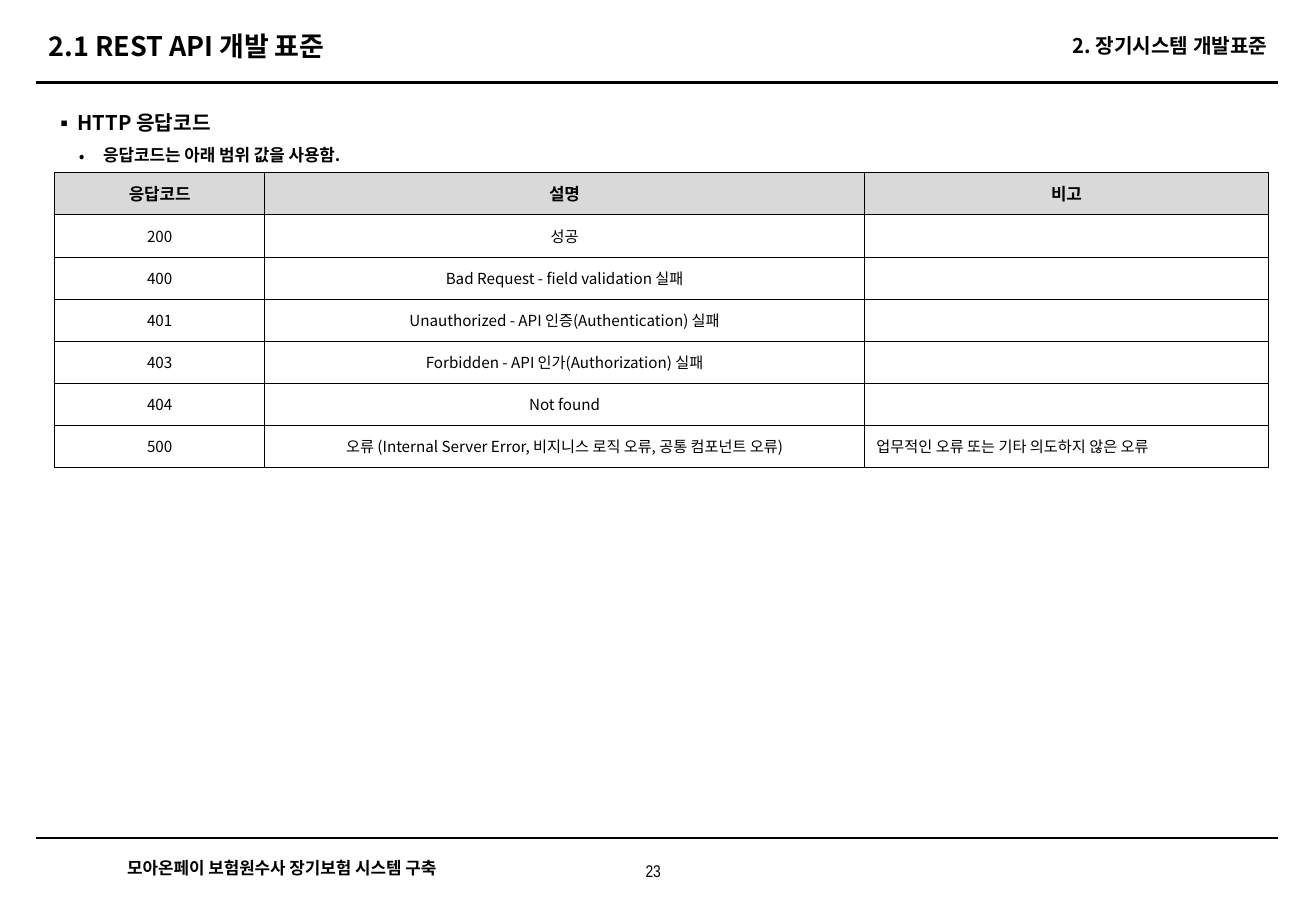
"""Build the HTTP response code page of the REST API development standard."""
from dataclasses import dataclass

from lxml import etree
from pptx import Presentation
from pptx import util as u
from pptx.dml.color import RGBColor
from pptx.enum import shapes, text
from pptx.oxml import ns

TITLE = "2.1 REST API 개발 표준"
CHAPTER = "2. 장기시스템 개발표준"
PROJECT = "모아온페이 보험원수사 장기보험 시스템 구축"
PAGE_NUMBER = "23"
OUTLINE = [
    {"text": "HTTP 응답코드", "bullet": "▪", "margin": 0.19, "hang": 0.19, "size": 12},
    {"text": "응답코드는 아래 범위 값을 사용함.", "bullet": "•", "margin": 0.4, "hang": 0.2, "size": 10},
]
CODES = [
    ("응답코드", "설명", "비고"),
    ("200", "성공", ""),
    ("400", "Bad Request - field validation 실패", ""),
    ("401", "Unauthorized - API 인증(Authentication) 실패", ""),
    ("403", "Forbidden - API 인가(Authorization) 실패", ""),
    ("404", "Not found", ""),
    ("500", "오류 (Internal Server Error, 비지니스 로직 오류, 공통 컴포넌트 오류)",
     "업무적인 오류 또는 기타 의도하지 않은 오류"),
]
COLUMN_SHARES = (17.3, 49.4, 33.3)

WIDTH, HEIGHT = u.Inches(10.84), u.Inches(7.5)
AREAS = {
    "title": (2.77, 2.4, 48.71, 5.2),
    "chapter": (61.62, 2.4, 35.61, 5.2),
    "outline": (3.23, 10.13, 23.99, 8.67),
    "codes": (4.15, 18.93, 92.25, 32.4),
    "project": (8.76, 93.47, 25.55, 3.6),
    "number": (46.4, 93.87, 6.46, 3.6),
}
RULE_SPAN = (2.77, 97.14)
RULES = [(9.07, 2), (92, 0.75)]


@dataclass(frozen=True)
class Theme:
    ink: RGBColor = RGBColor(0, 0, 0)
    paper: RGBColor = RGBColor(255, 255, 255)
    header: RGBColor = RGBColor(0xD9, 0xD9, 0xD9)
    font: str = "Noto Sans CJK KR"
    number_font: str = "Arial Narrow"
    title: float = 16
    chapter: float = 12
    label: float = 10
    cell: float = 9
    border: float = 0.23


THEME = Theme()
LEFT, CENTER, RIGHT = text.PP_ALIGN.LEFT, text.PP_ALIGN.CENTER, text.PP_ALIGN.RIGHT
TOP, MIDDLE = text.MSO_ANCHOR.TOP, text.MSO_ANCHOR.MIDDLE


def across(share):
    return round(WIDTH * share / 100)


def down(share):
    return round(HEIGHT * share / 100)


def area(name):
    left, top, width, height = AREAS[name]
    return across(left), down(top), across(width), down(height)


def child(parent, tag, **attributes):
    return etree.SubElement(parent, ns.qn(tag), attributes)


def style(para, size, bold=True, align=LEFT, font=THEME.font):
    para.alignment = align
    for span in para.runs:
        span.font.size, span.font.bold = u.Pt(size), bold
        span.font.name = font
        span.font.color.rgb = THEME.ink
        child(span.font._element, "a:ea", typeface=font)


def fit(box, name, anchor=TOP, wrap=True):
    box.left, box.top, box.width, box.height = area(name)
    frame = box.text_frame
    frame.auto_size = text.MSO_AUTO_SIZE.NONE
    frame.word_wrap, frame.vertical_anchor = wrap, anchor
    return frame


def add_label(page, name, words, size, anchor=TOP, wrap=True, **look):
    frame = fit(page.shapes.add_textbox(*area(name)), name, anchor, wrap)
    frame.text = words
    style(frame.paragraphs[0], size, **look)


def add_rules(page):
    start, end = map(across, RULE_SPAN)
    for share, weight in RULES:
        rule = page.shapes.add_connector(
            shapes.MSO_CONNECTOR.STRAIGHT, start, down(share), end, down(share))
        rule.line.color.rgb, rule.line.width = THEME.ink, u.Pt(weight)
        child(rule._element.spPr, "a:effectLst")


def fill_outline(frame):
    frame.text = "\n".join(item["text"] for item in OUTLINE)
    for level, (para, item) in enumerate(zip(frame.paragraphs, OUTLINE)):
        para.level = level
        layout = para._p.get_or_add_pPr()
        layout.set("marL", str(u.Inches(item["margin"])))
        layout.set("indent", str(-u.Inches(item["hang"])))
        child(child(layout, "a:buClr"), "a:srgbClr", val=str(THEME.ink))
        child(layout, "a:buFont", typeface=THEME.font)
        child(layout, "a:buChar", char=item["bullet"])
        para.line_spacing, para.space_before = 1.5, u.Pt(0)
        style(para, item["size"])


def add_borders(cell):
    properties = cell._tc.get_or_add_tcPr()
    for side in ("a:lnL", "a:lnR", "a:lnT", "a:lnB"):
        edge = child(properties, side, w=str(u.Pt(THEME.border)))
        child(child(edge, "a:solidFill"), "a:srgbClr", val=str(THEME.ink))


def add_codes(page):
    left, top, width, height = area("codes")
    table = page.shapes.add_table(
        len(CODES), len(COLUMN_SHARES), left, top, width, height).table
    table.first_row = table.horz_banding = False
    for column, share in zip(table.columns, COLUMN_SHARES):
        column.width = round(width * share / 100)
    for r, row in enumerate(CODES):
        heading = r == 0
        for c, words in enumerate(row):
            cell = table.cell(r, c)
            add_borders(cell)
            cell.fill.solid()
            cell.fill.fore_color.rgb = THEME.header if heading else THEME.paper
            cell.vertical_anchor = MIDDLE
            cell.margin_top = cell.margin_bottom = 0
            cell.text = words
            align = CENTER if heading or c < 2 else LEFT
            style(cell.text_frame.paragraphs[0],
                  THEME.label if heading else THEME.cell, heading, align)


def main():
    deck = Presentation()
    deck.slide_width, deck.slide_height = WIDTH, HEIGHT
    page = deck.slides.add_slide(deck.slide_layouts[1])
    add_rules(page)
    title = fit(page.shapes.title, "title", MIDDLE)
    title.text = TITLE
    style(title.paragraphs[0], THEME.title)
    add_label(page, "chapter", CHAPTER, THEME.chapter, MIDDLE, align=RIGHT)
    fill_outline(fit(page.placeholders[1], "outline", wrap=False))
    add_codes(page)
    add_label(page, "project", PROJECT, THEME.label, wrap=False)
    add_label(page, "number", PAGE_NUMBER, THEME.label,
              bold=False, align=CENTER, font=THEME.number_font)
    deck.save("out.pptx")


if __name__ == "__main__":
    main()
